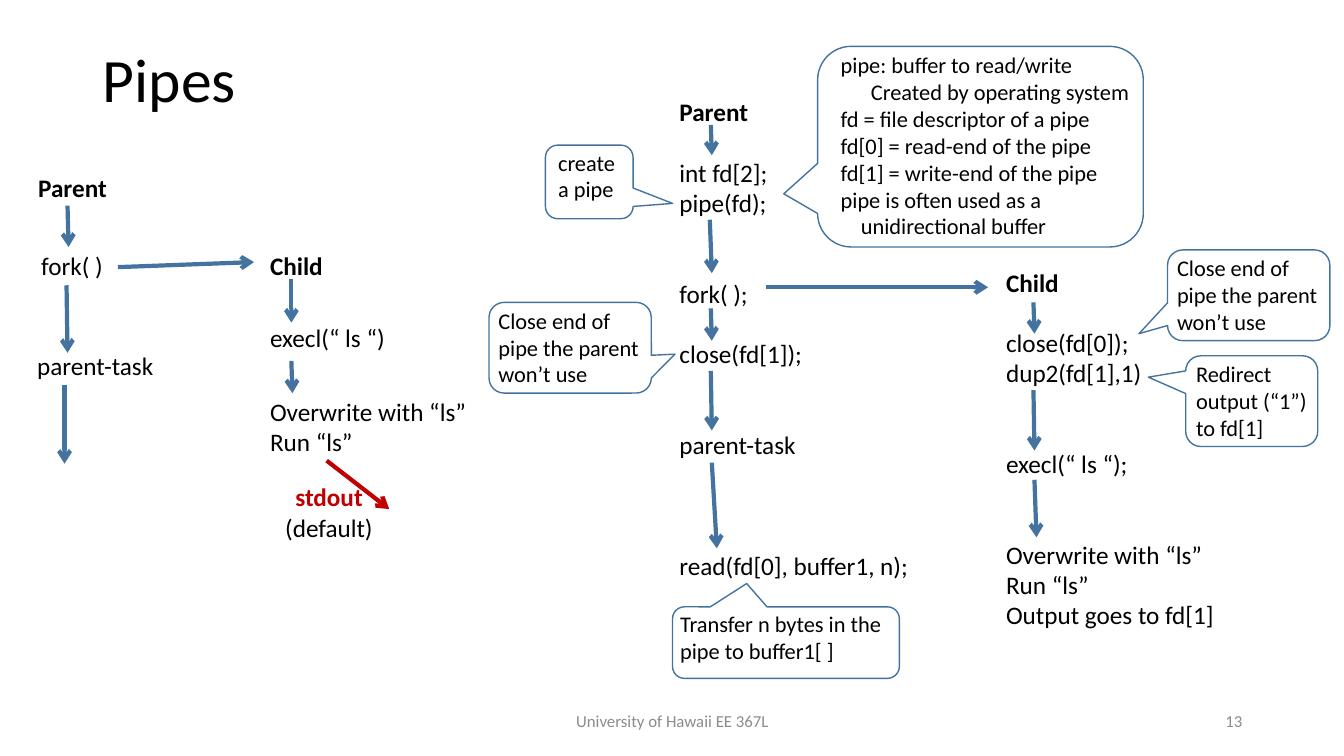
import pptx
import pptx.util
import pptx.dml.color
import pptx.enum.shapes
import pptx.enum.text
import pptx.oxml.ns
from lxml import etree

Inches = pptx.util.Inches
Align = pptx.enum.text.PP_ALIGN
Anchor = pptx.enum.text.MSO_ANCHOR
BLUE, RED, BLACK, GRAY = "43739E", "C00000", "000000", "8C8C8C"
BODY_LINE = 21.6


def color(value):
    return pptx.dml.color.RGBColor.from_string(value)


def write(frame, lines, size, ink=BLACK, align=Align.LEFT):
    for index, (text, bold, blank_lines, indent) in enumerate(lines):
        para = frame.paragraphs[0] if index == 0 else frame.add_paragraph()
        para.alignment = align
        if blank_lines:
            para.space_before = pptx.util.Pt(blank_lines * BODY_LINE)
        if indent:
            properties = para._p.get_or_add_pPr()
            properties.set("marL", str(Inches(indent)))
            properties.set("indent", "0")
        span = para.add_run()
        span.text = text
        span.font.name = "Calibri"
        span.font.size = pptx.util.Pt(size)
        span.font.bold = bold
        span.font.color.rgb = color(ink)


deck = pptx.Presentation()
deck.slide_width, deck.slide_height = Inches(13.33), Inches(7.5)
page = deck.slides.add_slide(deck.slide_layouts[5])

title = page.shapes.title
title.left, title.top, title.width, title.height = map(Inches, (0.92, 0.4, 2.51, 0.84))
title.text_frame.vertical_anchor = Anchor.MIDDLE
title.text_frame.auto_size = pptx.enum.text.MSO_AUTO_SIZE.NONE
write(title.text_frame, [("Pipes", False, 0, 0)], 44)
title.text_frame.paragraphs[0].line_spacing = 0.9

footers = [
    (4.42, 4.5, "University of Hawaii EE 367L", Align.CENTER),
    (9.42, 3, "13", Align.RIGHT),
]
for left, width, text, align in footers:
    box = page.shapes.add_textbox(Inches(left), Inches(6.95), Inches(width), Inches(0.4))
    box.text_frame.word_wrap = True
    box.text_frame.vertical_anchor = Anchor.MIDDLE
    write(box.text_frame, [(text, False, 0, 0)], 12, GRAY, align)

close_unused_end = ["Close end of", "pipe the parent", "won’t use"]
callouts = [
    (8.11, 0.46, 3.23, 1.99, -0.604, 0.235, 0, []),
    (5.41, 1.44, 0.87, 0.73, 0.95, 0.292, 0.09, ["create", "a pipe"]),
    (4.85, 3, 1.61, 0.9, 0.646, 0.071, 0.05, close_unused_end),
    (11.58, 2.48, 1.61, 0.9, -0.676, 0.423, 0.05, close_unused_end),
    (6.67, 6.02, 2.25, 0.71, -0.173, -0.826, 0.04,
     ["Transfer n bytes in the", "pipe to buffer1[ ]"]),
    (11.76, 3.53, 1.31, 0.9, -0.783, -0.264, 0.06,
     ["Redirect", "output (“1”)", "to fd[1]"]),
]
for left, top, width, height, tip_x, tip_y, inset, lines in callouts:
    callout = page.shapes.add_shape(
        pptx.enum.shapes.MSO_SHAPE.ROUNDED_RECTANGULAR_CALLOUT,
        Inches(left), Inches(top), Inches(width), Inches(height))
    callout.adjustments[0], callout.adjustments[1] = tip_x, tip_y
    callout.shadow.inherit = False
    callout.fill.background()
    callout.line.color.rgb = color(BLUE)
    callout.line.width = pptx.util.Pt(1)
    frame = callout.text_frame
    frame.word_wrap = True
    frame.vertical_anchor = Anchor.TOP
    frame.margin_left = Inches(inset)
    frame.margin_top = frame.margin_right = frame.margin_bottom = 0
    write(frame, [(text, False, 0, 0) for text in lines], 16)

labels = [
    (0.28, 1.66, 0.89, 0.4, 18, BLACK, [("Parent", True, 0, 0)]),
    (0.31, 2.43, 0.82, 0.4, 18, BLACK, [("fork( )", False, 0, 0)]),
    (0.27, 3.43, 1.37, 0.4, 18, BLACK, [("parent-task", False, 0, 0)]),
    (2.58, 2.43, 0.73, 0.4, 18, BLACK, [("Child", True, 0, 0)]),
    (2.58, 3.15, 1.35, 0.4, 18, BLACK, [("execl(“ ls “)", False, 0, 0)]),
    (2.58, 3.88, 2.17, 0.71, 18, BLACK,
     [("Overwrite with “ls”", False, 0, 0), ("Run “ls”", False, 0, 0)]),
    (2.83, 4.73, 0.88, 0.4, 18, RED, [("stdout", True, 0, 0)]),
    (2.73, 5.03, 1.08, 0.4, 18, BLACK, [("(default)", False, 0, 0)]),
    (6.64, 0.91, 2.5, 4.95, 18, BLACK, [
        ("Parent", True, 0, 0),
        ("int fd[2];", False, 1, 0),
        ("pipe(fd);", False, 0, 0),
        ("fork( );", False, 2, 0),
        ("close(fd[1]);", False, 1, 0),
        ("parent-task", False, 2, 0),
        ("read(fd[0], buffer1, n);", False, 3, 0),
    ]),
    (9.88, 2.6, 2.29, 3.74, 18, BLACK, [
        ("Child", True, 0, 0),
        ("close(fd[0]);", False, 1, 0),
        ("dup2(fd[1],1)", False, 0, 0),
        ("execl(“ ls “);", False, 2, 0),
        ("Overwrite with “ls”", False, 2, 0),
        ("Run “ls”", False, 0, 0),
        ("Output goes to fd[1]", False, 0, 0),
    ]),
    (8.24, 0.46, 3.1, 1.99, 16, BLACK, [
        ("pipe: buffer to read/write", False, 0, 0),
        ("Created by operating system", False, 0, 0.3),
        ("fd = file descriptor of a pipe", False, 0, 0),
        ("fd[0] = read-end of the pipe", False, 0, 0),
        ("fd[1] = write-end of the pipe", False, 0, 0),
        ("pipe is often used as a", False, 0, 0),
        ("unidirectional buffer", False, 0, 0.2),
    ]),
]
for left, top, width, height, size, ink, lines in labels:
    box = page.shapes.add_textbox(Inches(left), Inches(top), Inches(width), Inches(height))
    box.text_frame.word_wrap = False
    write(box.text_frame, lines, size, ink)

arrows = [
    (0.67, 2.04, 0.68, 2.45, BLUE),
    (0.66, 2.83, 0.67, 3.5, BLUE),
    (0.64, 3.82, 0.64, 4.6, BLUE),
    (1.17, 2.65, 2.52, 2.6, BLUE),
    (2.89, 2.77, 2.89, 3.2, BLUE),
    (2.89, 3.58, 2.9, 3.9, BLUE),
    (3.24, 4.57, 3.86, 5.05, RED),
    (7.6, 2.85, 9.8, 2.85, BLUE),
    (7.05, 1.24, 7.06, 1.54, BLUE),
    (7.04, 2.18, 7.06, 2.71, BLUE),
    (7.05, 3.06, 7.06, 3.38, BLUE),
    (7.05, 3.68, 7.06, 4.27, BLUE),
    (7.06, 4.59, 7.11, 5.44, BLUE),
    (10.25, 3, 10.26, 3.31, BLUE),
    (10.25, 3.87, 10.26, 4.47, BLUE),
    (10.26, 4.76, 10.28, 5.33, BLUE),
]
for start_x, start_y, end_x, end_y, ink in arrows:
    arrow = page.shapes.add_connector(
        pptx.enum.shapes.MSO_CONNECTOR.STRAIGHT,
        Inches(start_x), Inches(start_y), Inches(end_x), Inches(end_y))
    arrow.line.color.rgb = color(ink)
    arrow.line.width = pptx.util.Pt(3)
    outline = arrow.line._get_or_add_ln()
    etree.SubElement(outline, pptx.oxml.ns.qn("a:tailEnd"), type="arrow")
    etree.SubElement(arrow._element.spPr, pptx.oxml.ns.qn("a:effectLst"))

deck.save("out.pptx")
